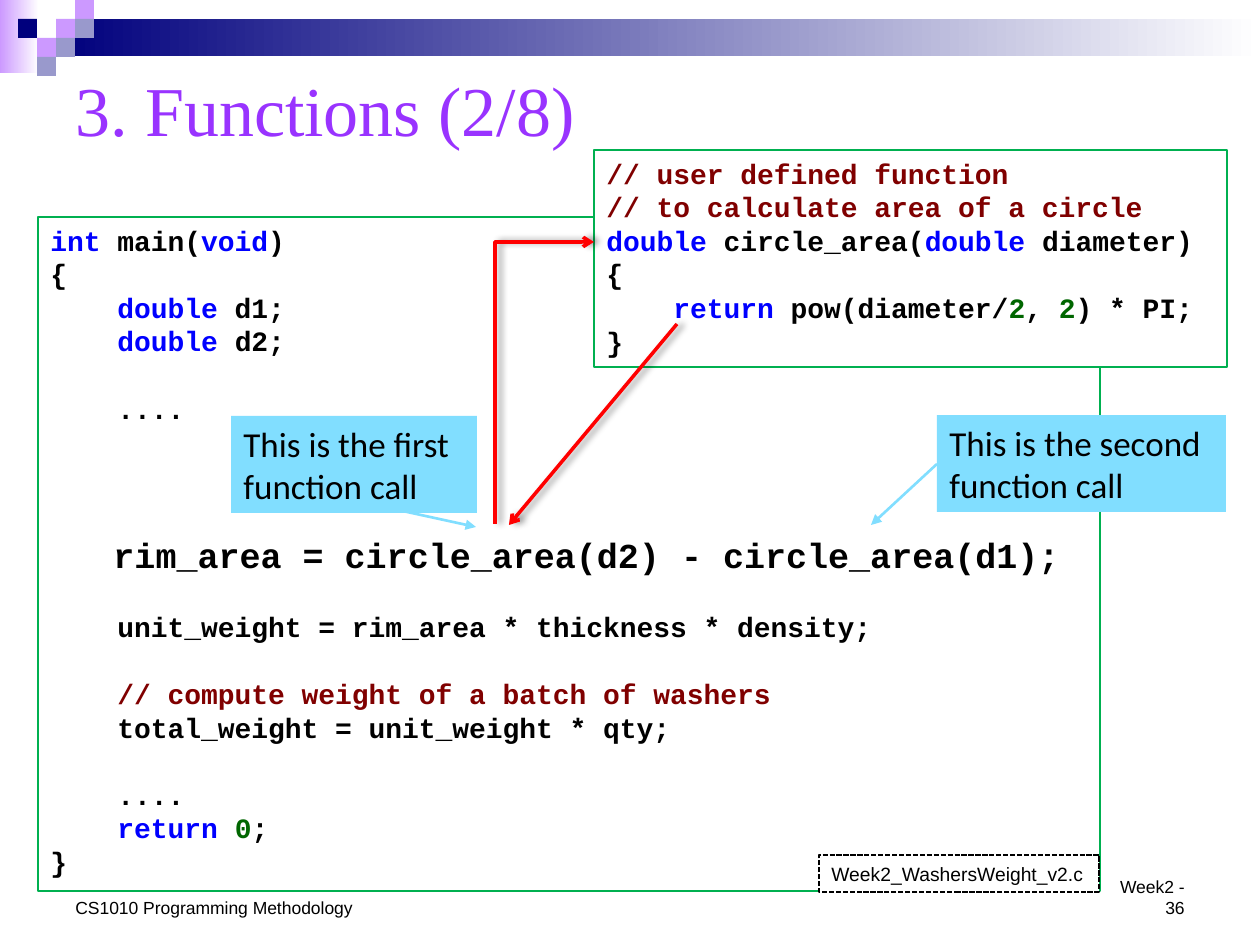
import pptx
import pptx.dml.color
import pptx.enum.dml
import pptx.enum.shapes
import pptx.enum.text
import pptx.oxml
import pptx.oxml.ns
import pptx.util

PX = 914400 / 126
COLORS = {
    "black": "000000", "white": "FFFFFF", "navy": "00007D", "lilac": "CC99FF",
    "slate": "9999CC", "title": "9933FF", "border": "00B050", "arrow": "FF0000",
    "callout": "81DEFF", "keyword": "0000FF", "comment": "800000", "number": "006600",
}
CODE_SIZE = 16
CALL_SIZE = 20
LINE_FACTOR = 1.2

# Each code line: font size, blank lines above it, then (text, color) pieces.
MAIN_CODE = [
    (CODE_SIZE, [], [("int ", "keyword"), ("main(", "black"), ("void", "keyword"), (")", "black")]),
    (CODE_SIZE, [], [("{", "black")]),
    (CODE_SIZE, [], [("    double", "keyword"), (" d1;", "black")]),
    (CODE_SIZE, [], [("    double ", "keyword"), ("d2;", "black")]),
    (CODE_SIZE, [CODE_SIZE], [("    ....", "black")]),
    (CALL_SIZE, [CODE_SIZE, CODE_SIZE, CALL_SIZE],
     [("   rim_area = circle_area(d2) - circle_area(d1);", "black")]),
    (CODE_SIZE, [CODE_SIZE], [("    unit_weight = rim_area * thickness * density;", "black")]),
    (CODE_SIZE, [CODE_SIZE], [("    // compute weight of a batch of washers", "comment")]),
    (CODE_SIZE, [], [("    total_weight = unit_weight * qty;", "black")]),
    (CODE_SIZE, [CODE_SIZE], [("    ....", "black")]),
    (CODE_SIZE, [], [("    return ", "keyword"), ("0", "number"), (";", "black")]),
    (CODE_SIZE, [], [("}", "black")]),
]
AREA_CODE = [
    (CODE_SIZE, [], [("// user defined function", "comment")]),
    (CODE_SIZE, [], [("// to calculate area of a circle", "comment")]),
    (CODE_SIZE, [], [("double ", "keyword"), ("circle_area(", "black"),
                     ("double ", "keyword"), ("diameter)", "black")]),
    (CODE_SIZE, [], [("{", "black")]),
    (CODE_SIZE, [], [("    return ", "keyword"), ("pow(diameter/", "black"), ("2", "number"),
                     (", ", "black"), ("2", "number"), (") * PI;", "black")]),
    (CODE_SIZE, [], [("}", "black")]),
]


def emu(pixels):
    return pptx.util.Emu(round(pixels * PX))


def rgb(name):
    return pptx.dml.color.RGBColor.from_string(COLORS[name])


def add_box(slide, box, fill, border=None, border_width=0.75):
    shape = slide.shapes.add_shape(
        pptx.enum.shapes.MSO_SHAPE.RECTANGLE, *[emu(value) for value in box])
    shape.shadow.inherit = False
    if isinstance(fill, tuple):
        shape.fill.gradient()
        shape.fill.gradient_angle = 0
        for stop, color in zip(shape.fill.gradient_stops, fill):
            stop.color.rgb = rgb(color)
    else:
        shape.fill.solid()
        shape.fill.fore_color.rgb = rgb(fill)
    if border:
        shape.line.color.rgb = rgb(border)
        shape.line.width = pptx.util.Pt(border_width)
    else:
        shape.line.fill.background()
    return shape


def format_font(font, name, size, color, bold=False):
    font.name = name
    font.size = pptx.util.Pt(size)
    font.color.rgb = rgb(color)
    font.bold = bold


def write_text(shape, text, name, size, color="black", anchor="TOP", align="LEFT"):
    frame = shape.text_frame
    frame.word_wrap = True
    frame.vertical_anchor = pptx.enum.text.MSO_ANCHOR[anchor]
    frame.text = text
    paragraph = frame.paragraphs[0]
    paragraph.alignment = pptx.enum.text.PP_ALIGN[align]
    format_font(paragraph.runs[0].font, name, size, color)


def add_label(slide, box, *text_options, **text_places):
    shape = slide.shapes.add_textbox(*[emu(value) for value in box])
    write_text(shape, *text_options, **text_places)


def add_code(slide, box, lines):
    shape = add_box(slide, box, "white", "border")
    frame = shape.text_frame
    frame.word_wrap = True
    frame.vertical_anchor = pptx.enum.text.MSO_ANCHOR.TOP
    for index, (size, blanks, pieces) in enumerate(lines):
        paragraph = frame.add_paragraph() if index else frame.paragraphs[0]
        paragraph.alignment = pptx.enum.text.PP_ALIGN.LEFT
        paragraph.line_spacing = pptx.util.Pt(size * LINE_FACTOR)
        if blanks:
            paragraph.space_before = pptx.util.Pt(sum(blanks) * LINE_FACTOR)
        for text, color in pieces:
            run = paragraph.add_run()
            run.text = text
            format_font(run.font, "Courier New", size, color, bold=True)


def add_arrow(slide, start, end, color, width, head, shadow=False):
    connector = slide.shapes.add_connector(
        pptx.enum.shapes.MSO_CONNECTOR.STRAIGHT, *[emu(value) for value in start + end])
    connector.line.color.rgb = rgb(color)
    connector.line.width = pptx.util.Pt(width)
    line = connector.line._get_or_add_ln()
    pptx.oxml.ns.qn("a:tailEnd")
    namespace = pptx.oxml.ns.nsdecls("a")
    line.append(pptx.oxml.parse_xml(f'<a:tailEnd {namespace} type="{head}"/>'))
    effect = (f'<a:outerShdw blurRad="{pptx.util.Pt(4)}" dist="{pptx.util.Pt(3)}" dir="0">'
              f'<a:srgbClr val="{COLORS["black"]}"><a:alpha val="40000"/></a:srgbClr>'
              '</a:outerShdw>') if shadow else ""
    connector._element.spPr.append(
        pptx.oxml.parse_xml(f"<a:effectLst {namespace}>{effect}</a:effectLst>"))
    return connector


def bend_up_then_right(connector, start, end):
    """Turn a straight connector into one corner: up from start, then right to end."""
    run, rise = end[0] - start[0], start[1] - end[1]
    connector.left = emu((start[0] + end[0] - rise) / 2)
    connector.top = emu((start[1] + end[1] - run) / 2)
    connector.width, connector.height = emu(rise), emu(run)
    properties = connector._element.spPr
    properties.find(pptx.oxml.ns.qn("a:prstGeom")).set("prst", "bentConnector2")
    transform = properties.find(pptx.oxml.ns.qn("a:xfrm"))
    for name, value in (("rot", "5400000"), ("flipH", "1"), ("flipV", "1")):
        transform.set(name, value)


def add_header_band(slide, left, top, width):
    add_box(slide, (left, top, 39, 73), ("lilac", "white"))
    add_box(slide, (left + 57, top + 19, width - 57, 37), ("navy", "white"))
    tile = 19
    for column, row, color in [(3, 1, "lilac"), (4, 0, "lilac"), (4, 1, "slate"),
                               (2, 2, "lilac"), (1, 1, "navy"), (3, 2, "slate"),
                               (2, 3, "slate")]:
        add_box(slide, (left + column * tile - 1, top + row * tile, tile, tile), color)


def add_callout(slide, box, text, start, end):
    """Place a callout whose pointer runs between points relative to the box."""
    left, top = box[:2]
    shape = add_box(slide, box, "callout")
    write_text(shape, text, "Calibri", 20)
    add_arrow(slide, (left + start[0], top + start[1]), (left + end[0], top + end[1]),
              "callout", 1.5, "triangle")


def add_call_arrows(slide, left, top):
    """Draw the call going to the function and the result coming back."""
    start, end = (left, top + 282), (left + 99, top)
    call = add_arrow(slide, start, end, "arrow", 2, "arrow", shadow=True)
    bend_up_then_right(call, start, end)
    add_arrow(slide, (left + 182, top + 82), (left + 14, top + 283),
              "arrow", 2, "arrow", shadow=True)


def add_footer(slide, left, top, width):
    add_label(slide, (left, top, 305, 34), "CS1010 Programming Methodology",
              "Arial", 10, anchor="BOTTOM")
    add_label(slide, (left + width - 106, top, 106, 34), "Week2 - 36",
              "Arial", 10, anchor="BOTTOM", align="RIGHT")


def main():
    presentation = pptx.Presentation()
    presentation.slide_width, presentation.slide_height = emu(1260), emu(945)
    slide = presentation.slides.add_slide(presentation.slide_layouts[6])
    add_header_band(slide, 0, 0, 1260)
    add_label(slide, (63, 53, 1134, 111), "3. Functions (2/8)",
              "Times New Roman", 40, "title", anchor="MIDDLE")
    add_code(slide, (38, 217, 1062, 674), MAIN_CODE)
    file_name = add_box(slide, (819, 855, 280, 37), "white", "black", 1)
    file_name.line.dash_style = pptx.enum.dml.MSO_LINE.SQUARE_DOT
    write_text(file_name, "Week2_WashersWeight_v2.c", "Arial", 11, anchor="MIDDLE")
    add_code(slide, (594, 150, 633, 217), AREA_CODE)
    add_footer(slide, 63, 890, 1134)
    add_call_arrows(slide, 495, 242)
    add_callout(slide, (937, 415, 289, 97), "This is the second function call", (0, 49), (-66, 110))
    add_callout(slide, (231, 416, 246, 97), "This is the first function call", (144, 89), (245, 111))
    presentation.save("out.pptx")


if __name__ == "__main__":
    main()
